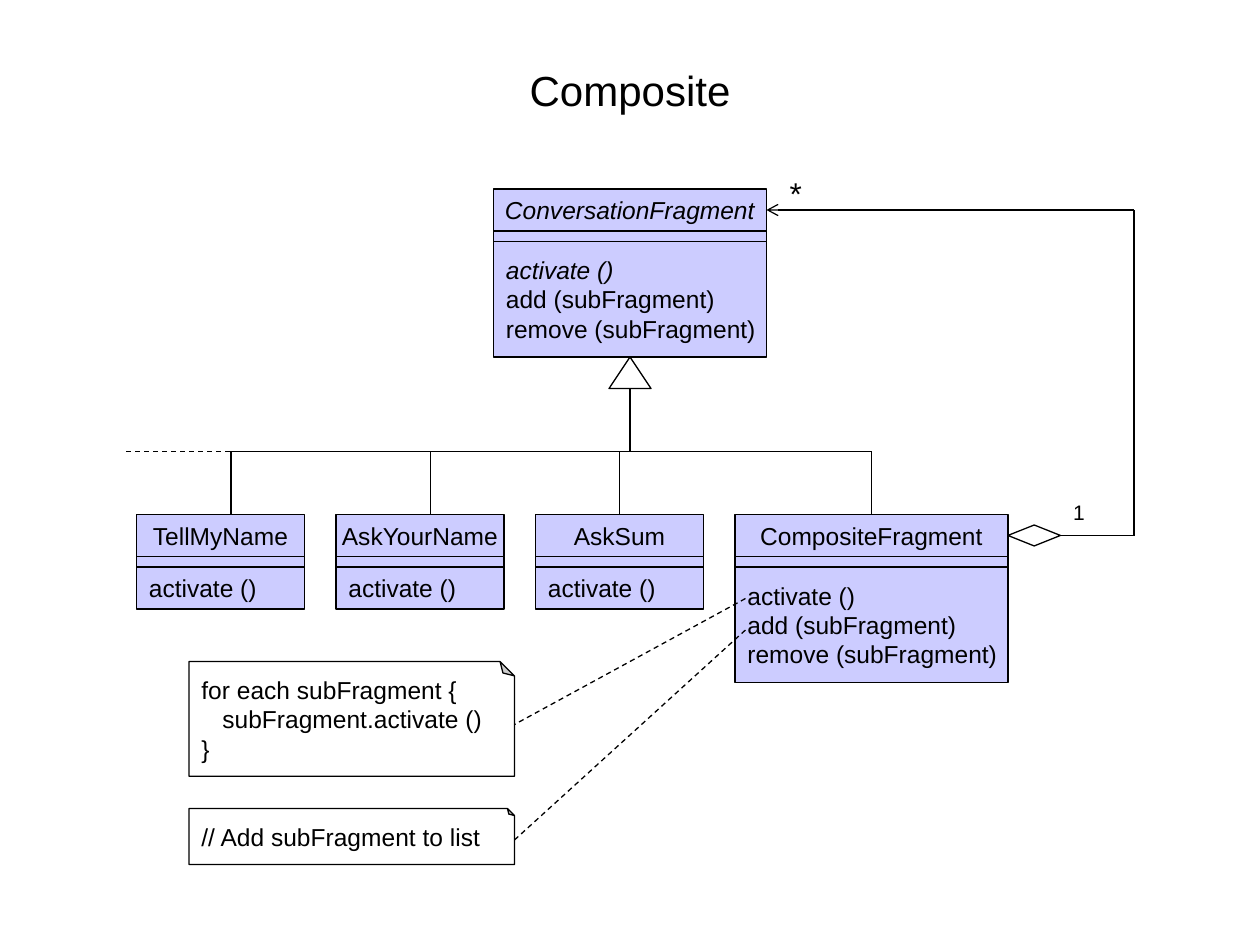
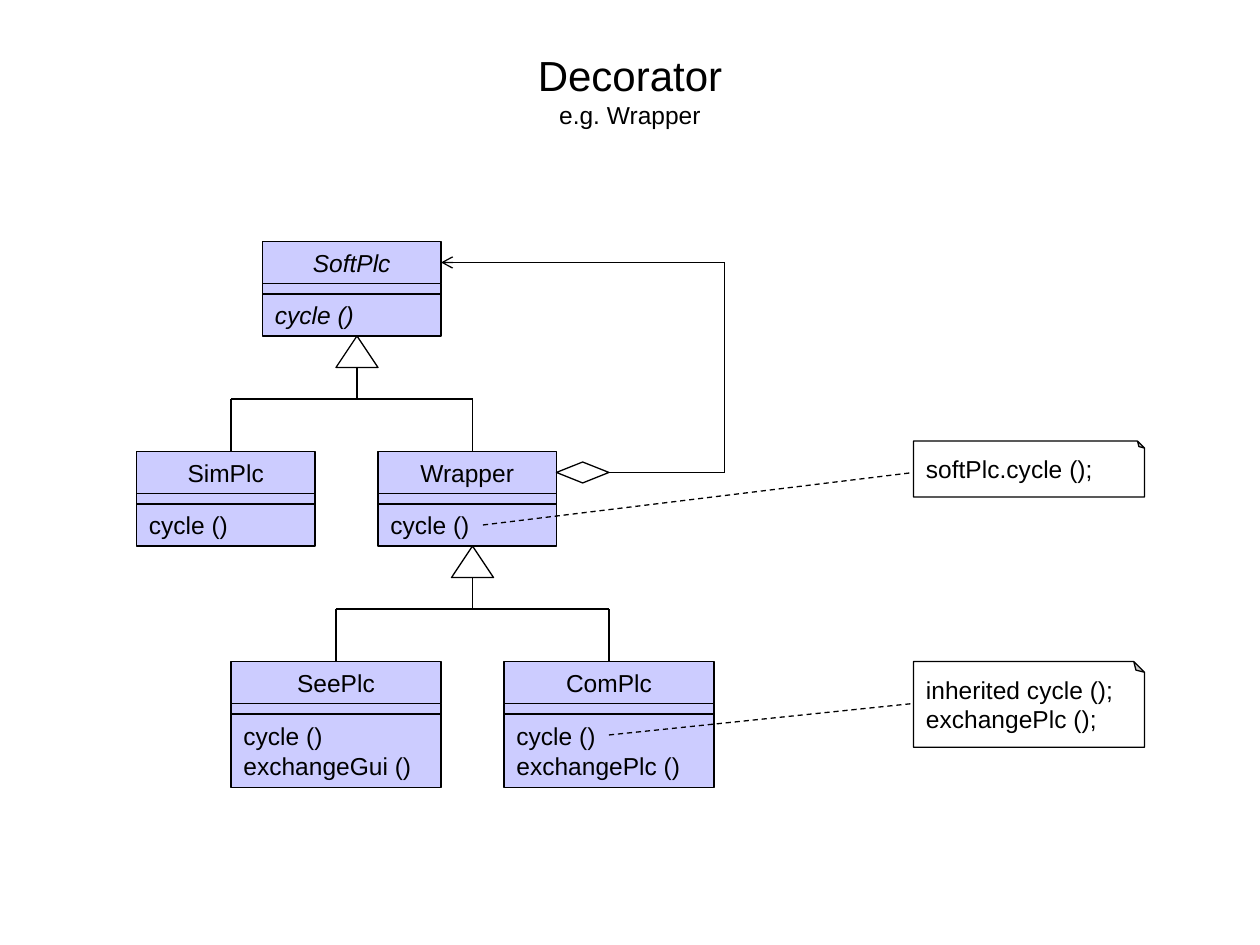
from dataclasses import dataclass

from lxml import etree
from pptx import Presentation
from pptx.dml.color import RGBColor
from pptx.enum.dml import MSO_LINE
from pptx.enum.shapes import MSO_CONNECTOR, MSO_SHAPE
from pptx.enum.text import MSO_ANCHOR, PP_ALIGN
from pptx.oxml.ns import qn
from pptx.shapes.autoshape import Shape
from pptx.slide import Slide
from pptx.text.text import TextFrame
from pptx.util import Pt

BLACK = RGBColor(0x00, 0x00, 0x00)
WHITE = RGBColor(0xFF, 0xFF, 0xFF)
LILAC = RGBColor(0xCC, 0xCC, 0xFF)
FONT = "Arial"
RECT = MSO_SHAPE.RECTANGLE
FOLD = MSO_SHAPE.FOLDED_CORNER
PEAK = MSO_SHAPE.ISOSCELES_TRIANGLE
GEM = MSO_SHAPE.DIAMOND
LINE = MSO_CONNECTOR.STRAIGHT
DASH = MSO_LINE.DASH
LEFT = PP_ALIGN.LEFT
MID = PP_ALIGN.CENTER
TOP = MSO_ANCHOR.TOP
CENTER = MSO_ANCHOR.MIDDLE

HEAD = 24
GAP = 6
BODY = {1: 24, 2: 42, 3: 66}


@dataclass
class Box:
    x: float
    y: float
    wide: float
    name: str
    calls: tuple[str, ...]
    slant: bool = False


@dataclass
class Note:
    x: float
    y: float
    wide: float
    high: float
    lines: tuple[str, ...]
    inset: tuple[int, ...] = ()


@dataclass
class Tree:
    x: float
    y: float
    bar: float
    kids: tuple[float, ...]
    foot: float


@dataclass
class Loop:
    x: float
    y: float
    far: float
    to_x: float
    to_y: float


def put(frame: TextFrame, text: str, *, size: float = 14, slant: bool = False,
        align: PP_ALIGN = LEFT, pad: float = 0) -> None:
    para = frame.paragraphs[0] if not frame.text else frame.add_paragraph()
    para.alignment = align
    if pad:
        para._p.get_or_add_pPr().set("marL", str(int(Pt(pad))))
    run = para.add_run()
    run.text = text
    run.font.name = FONT
    run.font.size = Pt(size)
    run.font.italic = slant
    run.font.color.rgb = BLACK


def setup(shape: Shape, wrap: bool = False, anchor: MSO_ANCHOR = CENTER) -> TextFrame:
    frame = shape.text_frame
    frame.word_wrap = wrap
    frame.vertical_anchor = anchor
    return frame


def area(slide: Slide, x: float, y: float, wide: float, high: float,
         wrap: bool = False, anchor: MSO_ANCHOR = TOP) -> TextFrame:
    return setup(slide.shapes.add_textbox(Pt(x), Pt(y), Pt(wide), Pt(high)), wrap, anchor)


def form(slide: Slide, kind: MSO_SHAPE, x: float, y: float, wide: float,
         high: float, fill: RGBColor | None = None) -> Shape:
    shape = slide.shapes.add_shape(kind, Pt(x), Pt(y), Pt(wide), Pt(high))
    shape.shadow.inherit = False
    if fill is None:
        shape.fill.background()
    else:
        shape.fill.solid()
        shape.fill.fore_color.rgb = fill
    shape.line.color.rgb = BLACK
    shape.line.width = Pt(0.75)
    return shape


def link(slide: Slide, x: float, y: float, to_x: float, to_y: float,
         dash: bool = False, arrow: bool = False) -> None:
    line = slide.shapes.add_connector(LINE, Pt(x), Pt(y), Pt(to_x), Pt(to_y))
    line.line.color.rgb = BLACK
    line.line.width = Pt(0.75)
    if dash:
        line.line.dash_style = DASH
    if arrow:
        etree.SubElement(line.line._get_or_add_ln(), qn("a:tailEnd"), type="arrow")
    etree.SubElement(line._element.spPr, qn("a:effectLst"))


def draw_box(slide: Slide, box: Box) -> None:
    head = form(slide, RECT, box.x, box.y, box.wide, HEAD, LILAC)
    put(setup(head), box.name, slant=box.slant, align=MID)
    form(slide, RECT, box.x, box.y + HEAD, box.wide, GAP, LILAC)
    body = form(slide, RECT, box.x, box.y + HEAD + GAP, box.wide,
                BODY[len(box.calls)], LILAC)
    frame = setup(body)
    for i, call in enumerate(box.calls):
        put(frame, call, slant=box.slant and i == 0)


def draw_note(slide: Slide, note: Note) -> None:
    shift = (note.wide - note.high) / 2
    shape = form(slide, FOLD, note.x + shift, note.y - shift, note.high, note.wide, WHITE)
    geom = shape._element.spPr.find(qn("a:prstGeom"))
    geom.set("prst", "foldedCorner")
    guide = geom.find(qn("a:avLst"))
    etree.SubElement(guide, qn("a:gd"), name="adj", fmla="val 12500")
    shape.rotation = 270
    frame = setup(shape, wrap=True)
    frame._txBody.bodyPr.set("vert", "eaVert")
    for i, text in enumerate(note.lines):
        put(frame, text, pad=12 if i in note.inset else 0)


def draw_tree(slide: Slide, tree: Tree) -> None:
    form(slide, PEAK, tree.x - 12, tree.y, 24, 18)
    link(slide, tree.x, tree.y + 18, tree.x, tree.bar)
    link(slide, min(tree.kids), tree.bar, max(tree.kids), tree.bar)
    for kid in tree.kids:
        link(slide, kid, tree.bar, kid, tree.foot)


def draw_loop(slide: Slide, loop: Loop) -> None:
    form(slide, GEM, loop.x, loop.y - 6, 30, 12)
    link(slide, loop.x + 30, loop.y, loop.far, loop.y)
    link(slide, loop.far, loop.to_y, loop.far, loop.y)
    link(slide, loop.far, loop.to_y, loop.to_x, loop.to_y, arrow=True)


def page(deck: Presentation, title: str, sub: str, boxes: list[Box],
         trees: list[Tree], loop: Loop, notes: list[Note],
         ties: list[tuple[float, ...]]) -> Slide:
    slide = deck.slides.add_slide(deck.slide_layouts[6])
    frame = area(slide, 54, 18, 612, 66, wrap=True, anchor=CENTER)
    put(frame, title, size=24, align=MID)
    if sub:
        put(frame, sub, align=MID)
    for box in boxes:
        draw_box(slide, box)
    for tree in trees:
        draw_tree(slide, tree)
    draw_loop(slide, loop)
    for note in notes:
        draw_note(slide, note)
    for tie in ties:
        link(slide, *tie, dash=True)
    return slide


def main() -> None:
    deck = Presentation()
    deck.slide_width = Pt(720)
    deck.slide_height = Pt(540)

    calls = ("activate ()", "add (subFragment)", "remove (subFragment)")
    leaves = [Box(78 + 114 * i, 294, 96, name, calls[:1])
              for i, name in enumerate(("TellMyName", "AskYourName", "AskSum"))]
    slide = page(
        deck, "Composite", "",
        [Box(282, 108, 156, "ConversationFragment", calls, True), *leaves,
         Box(420, 294, 156, "CompositeFragment", calls)],
        [Tree(360, 204, 258, (132, 246, 354, 498), 294)],
        Loop(576, 306, 648, 438, 120),
        [Note(108, 378, 186, 65.6,
              ("for each subFragment {", "subFragment.activate ()", "}"), (1,)),
         Note(108, 462, 186, 32, ("// Add subFragment to list",))],
        [(72, 258, 132, 258), (426, 342, 294, 414), (294, 480, 426, 360)])
    put(area(slide, 444, 96, 21.6, 28.8), "*", size=18, align=MID)
    put(area(slide, 606, 282, 21, 21.6), "1", size=12, align=MID)

    cycle = "cycle ()"
    page(
        deck, "Decorator", "e.g. Wrapper",
        [Box(150, 138, 102, "SoftPlc", (cycle,), True),
         Box(78, 258, 102, "SimPlc", (cycle,)),
         Box(216, 258, 102, "Wrapper", (cycle,)),
         Box(132, 378, 120, "SeePlc", (cycle, "exchangeGui ()")),
         Box(288, 378, 120, "ComPlc", (cycle, "exchangePlc ()"))],
        [Tree(204, 192, 228, (132, 270), 258),
         Tree(270, 312, 348, (192, 348), 378)],
        Loop(318, 270, 414, 252, 150),
        [Note(522, 252, 132, 32, ("softPlc.cycle ();",)),
         Note(522, 378, 132, 49, ("inherited cycle ();", "exchangePlc ();"))],
        [(276, 300, 522, 270), (348, 420, 522, 402)])
    deck.save("out.pptx")


main()
